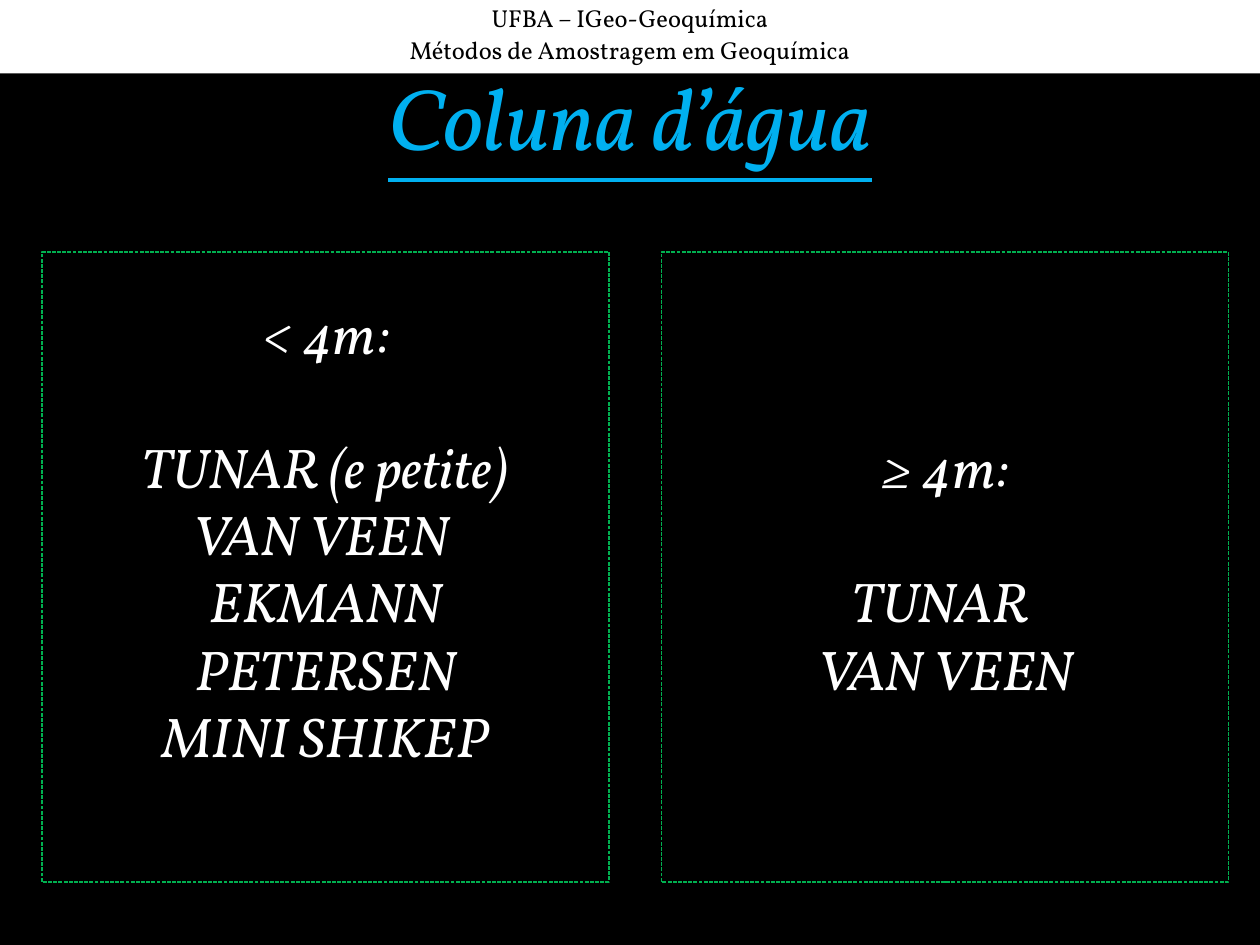
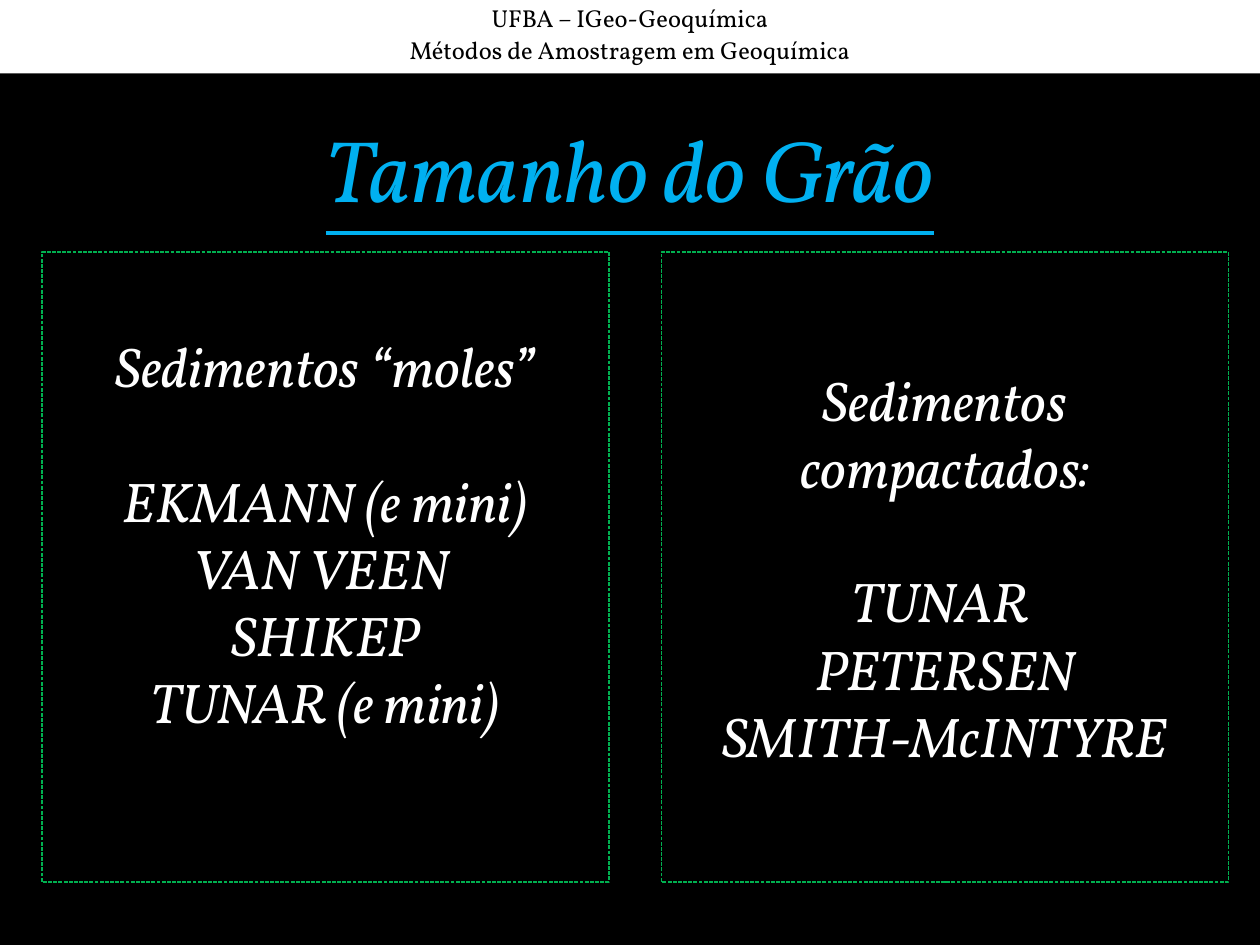
"""Build two slides comparing sediment samplers by water depth and grain size."""
from pptx import Presentation
from pptx import util as u
from pptx.dml.color import RGBColor
from pptx.enum import dml, shapes, text

BLACK = RGBColor(0x00, 0x00, 0x00)
WHITE = RGBColor(0xFF, 0xFF, 0xFF)
BLUE = RGBColor(0x00, 0xB0, 0xF0)
GREEN = RGBColor(0x00, 0xB0, 0x50)
FONT = "Vollkorn"
COLUMNS, ROWS = 120, 90
PANEL_COLUMNS = (4, 63)
BLANK_LINE = 38.4
HEADER = ("UFBA – IGeo-Geoquímica", "Métodos de Amostragem em Geoquímica")

SLIDES = (
    {
        "title": "Coluna d’água",
        "title_row": 5,
        "panels": (
            ("< 4m:", "TUNAR (e petite)", "VAN VEEN ", "EKMANN", "PETERSEN", "MINI SHIKEP"),
            ("≥ 4m:", "TUNAR ", "VAN VEEN"),
        ),
    },
    {
        "title": "Tamanho do Grão",
        "title_row": 10,
        "panels": (
            ("Sedimentos “moles”", "EKMANN (e mini)", "VAN VEEN ", "SHIKEP", "TUNAR (e mini)"),
            ("Sedimentos compactados:", "TUNAR ", "PETERSEN", "SMITH-McINTYRE"),
        ),
    },
)


def write(frame, lines, size, color, italic=False, underline=False,
          anchor=text.MSO_ANCHOR.MIDDLE, spacing=None, gaps=None):
    """Fill a text frame with centred lines; gaps maps a line index to its space before."""
    frame.word_wrap = True
    frame.vertical_anchor = anchor
    for index, line in enumerate(lines):
        paragraph = frame.paragraphs[0] if index == 0 else frame.add_paragraph()
        paragraph.alignment = text.PP_ALIGN.CENTER
        paragraph.line_spacing = spacing
        if gaps and index in gaps:
            paragraph.space_before = u.Pt(gaps[index])
        run = paragraph.add_run()
        run.text = line
        font = run.font
        font.name, font.size = FONT, u.Pt(size)
        font.italic, font.underline = italic, underline
        font.color.rgb = color


class Deck:
    """Hold the presentation style and the slide being drawn."""

    def __init__(self):
        self.presentation = Presentation()
        self.presentation.slide_width = u.Inches(10)
        self.presentation.slide_height = u.Inches(7.5)
        self.slide = None

    def place(self, column, row, width, height):
        across = self.presentation.slide_width / COLUMNS
        down = self.presentation.slide_height / ROWS
        return (round(column * across), round(row * down),
                round(width * across), round(height * down))

    def start_slide(self):
        self.slide = self.presentation.slides.add_slide(self.presentation.slide_layouts[6])
        background = self.slide.background.fill
        background.solid()
        background.fore_color.rgb = BLACK

    def rectangle(self, *cells):
        shape = self.slide.shapes.add_shape(shapes.MSO_SHAPE.RECTANGLE, *self.place(*cells))
        shape.shadow.inherit = False
        return shape

    def header(self):
        band = self.rectangle(0, 0, COLUMNS, 7)
        band.fill.solid()
        band.fill.fore_color.rgb = WHITE
        band.line.fill.background()
        band.text_frame.margin_top = u.Inches(0.05)
        write(band.text_frame, HEADER, 14, BLACK, anchor=text.MSO_ANCHOR.TOP,
              spacing=0.9, gaps={1: 3.5})

    def title(self, wording, row):
        box = self.slide.shapes.add_textbox(*self.place(6, row, 108, 12))
        write(box.text_frame, [wording], 50, BLUE, italic=True, underline=True)

    def panel(self, lines, column, space_below=0):
        box = self.rectangle(column, 24, 54, 60)
        box.fill.background()
        box.line.color.rgb = GREEN
        box.line.width = u.Pt(0.75)
        box.line.dash_style = dml.MSO_LINE.SQUARE_DOT
        box.text_frame.margin_bottom = u.Inches(0.05) + u.Pt(space_below)
        write(box.text_frame, lines, 32, WHITE, italic=True, gaps={1: BLANK_LINE})


def main():
    deck = Deck()
    for content in SLIDES:
        deck.start_slide()
        deck.header()
        deck.title(content["title"], content["title_row"])
        for lines, column, space in zip(content["panels"], PANEL_COLUMNS, (BLANK_LINE, 0)):
            deck.panel(lines, column, space)
    deck.presentation.save("out.pptx")


if __name__ == "__main__":
    main()
